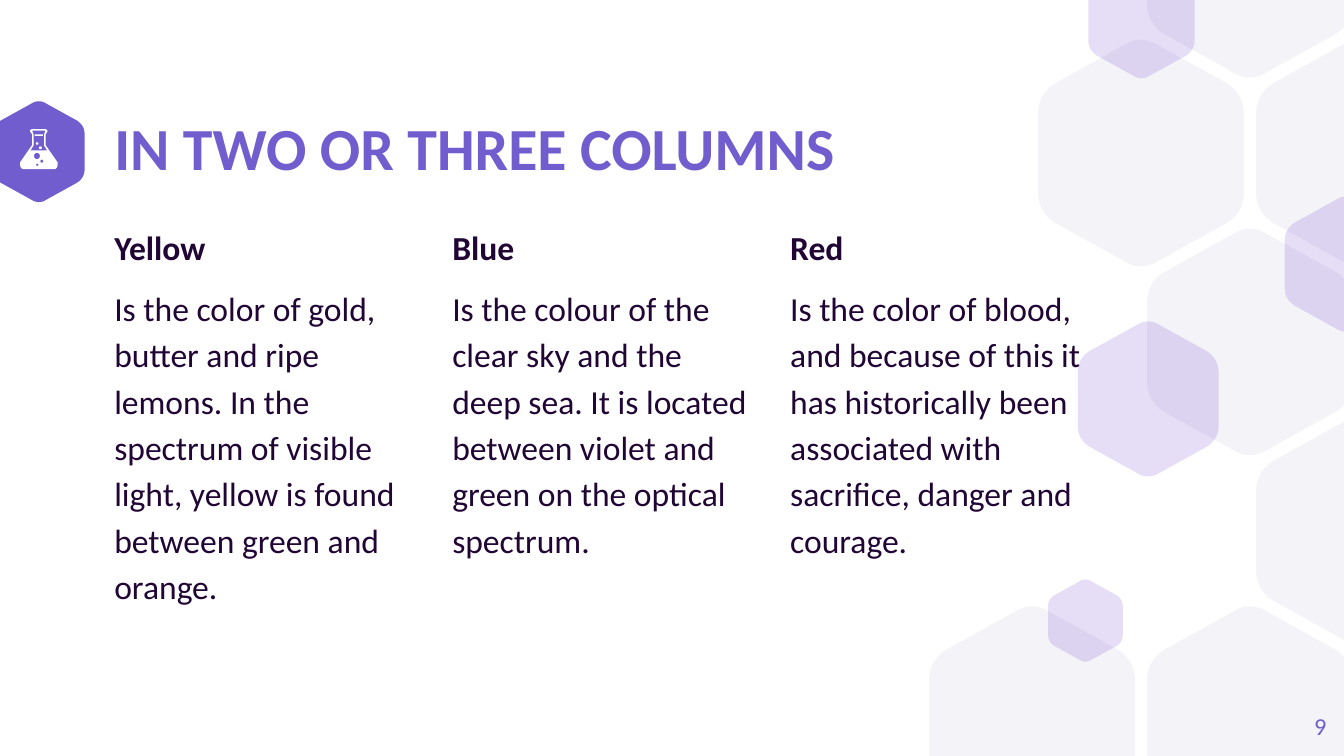
from dataclasses import dataclass
from math import cos, pi, sin
from typing import NamedTuple

from pptx import Presentation
from pptx.dml.color import RGBColor as RGB
from pptx.enum.shapes import MSO_SHAPE as Kind
from pptx.enum.text import MSO_ANCHOR as Anchor, MSO_AUTO_SIZE as Fit, PP_ALIGN as Align
from pptx.oxml.ns import qn
from pptx.oxml.xmlchemy import OxmlElement as Node
from pptx.util import Cm, Pt


@dataclass(frozen=True)
class Theme:
    font: str = "Calibri"
    main: str = "725DCF"
    ink: str = "210635"
    pale: str = "F4F3F8"
    glass: str = "5322C9"
    white: str = "FFFFFF"
    alpha: int = 15
    title: int = 32
    body: int = 18
    small: int = 13


class Box(NamedTuple):
    """Place and size in centimetres."""
    x: float
    y: float
    w: float
    h: float


THEME = Theme()
WIDE, HIGH = 25.4, 14.29
RATIO = 1.107  # hexagon height to width

# (column, row) in half-width steps across and row steps down
CELLS = [(0, 3), (2, 3), (3, 0), (2, -1), (2, 1), (1, 0), (3, 2)]
# left, top, width of the see-through hexagons
GEMS = [(24.28, 3.71, 2.32), (19.81, 10.95, 1.41),
        (20.57, -0.74, 2.01), (20.37, 6.07, 2.66)]

COLUMNS = [
    ("Yellow", "Is the color of gold, butter and ripe lemons. In the spectrum of "
               "visible light, yellow is found between green and orange."),
    ("Blue", "Is the colour of the clear sky and the deep sea. It is located "
             "between violet and green on the optical spectrum."),
    ("Red", "Is the color of blood, and because of this it has historically been "
            "associated with sacrifice, danger and courage."),
]


def paint(shape, color, alpha=None):
    shape.shadow.inherit = False
    shape.line.fill.background()
    shape.fill.solid()
    shape.fill.fore_color.rgb = RGB.from_string(color)
    if alpha is not None:
        node = Node("a:alpha")
        node.set("val", str(alpha * 1000))
        shape.element.spPr.find(qn("a:solidFill"))[0].append(node)


def outline(slide, loops, color, alpha=None):
    """Fill closed loops of points; inner loops become holes."""
    pen = None
    for loop in loops:
        dots = [(Cm(x), Cm(y)) for x, y in loop]
        if pen is None:
            pen = slide.shapes.build_freeform(*dots[0])
        else:
            pen.move_to(*dots[0])
        pen.add_line_segments(dots[1:])
    paint(pen.convert_to_shape(), color, alpha)


def curve(a, b, c, d, steps=8):
    """Points on a cubic curve."""
    for i in range(steps + 1):
        t = i / steps
        u = 1 - t
        yield tuple(u**3 * p + 3 * u * u * t * q + 3 * u * t * t * r + t**3 * s
                    for p, q, r, s in zip(a, b, c, d))


def hexagon(slide, x, y, w, color, alpha=None):
    """Draw a rounded hexagon, cut at the slide's top and bottom edges."""
    side = list(curve((1, -0.35), (1, -0.46), (0.94, -0.55), (0.84, -0.61)))
    peak = list(curve((0.16, -0.95), (0.06, -1.01), (-0.06, -1.01), (-0.16, -0.95)))
    top = side + peak + [(-p, q) for p, q in reversed(side)]
    ring = top + [(-p, -q) for p, q in top]
    rx, ry = w / 2, w * RATIO / 2
    dots = [(x + rx * (1 + p), min(max(y + ry * (1 + q), 0), HIGH)) for p, q in ring]
    outline(slide, [dots], color, alpha)


def backdrop(slide, box):
    """Lay pale hexagons on a honeycomb grid, with see-through ones on top."""
    for col, row in CELLS:
        hexagon(slide, box.x + 2.06 * col, box.y + 3.57 * row, 3.89, THEME.pale)
    for x, y, w in GEMS:
        hexagon(slide, x, y, w, THEME.glass, THEME.alpha)


def flask(slide, box):
    def place(x, y):
        return box.x + x * box.w, box.y + y * box.h

    def mirror(half):
        ring = half + [(-x, y) for x, y in reversed(half)]
        return [place(0.5 + x, y) for x, y in ring]

    def circle(x, y, r):
        turns = [2 * pi * i / 20 for i in range(20)]
        return [place(x + r * cos(t), y + r * sin(t)) for t in turns]

    glass = [(0.18, 0), (0.23, 0.03), (0.23, 0.07), (0.18, 0.13), (0.18, 0.4),
             (0.5, 0.83), (0.5, 0.9), (0.48, 0.96), (0.43, 1)]
    space = [(0.18, 0.04), (0.14, 0.13), (0.14, 0.41), (0.22, 0.53)]
    holes = [(0.45, 0.67, 0.08), (0.58, 0.8, 0.04), (0.46, 0.89, 0.03)]
    outline(slide, [mirror(glass), mirror(space)] + [circle(*h) for h in holes],
            THEME.white)
    marks = [(Kind.OVAL, 0.5, 0.43, 0.08, 0.07), (Kind.OVAL, 0.42, 0.33, 0.07, 0.06),
             (Kind.ROUNDED_RECTANGLE, 0.39, 0.13, 0.22, 0.04)]
    for kind, x, y, w, h in marks:
        left, top = place(x, y)
        mark = slide.shapes.add_shape(kind, Cm(left), Cm(top),
                                      Cm(w * box.w), Cm(h * box.h))
        paint(mark, THEME.white)


def badge(slide, box):
    hexagon(slide, box.x, box.y, box.w, THEME.main)
    flask(slide, Box(box.x + 0.51, box.y + 0.53, 0.71, 0.76))


def frame(shape, anchor):
    text = shape.text_frame
    text.margin_left = text.margin_right = text.margin_top = text.margin_bottom = 0
    text.word_wrap = True
    text.auto_size = Fit.NONE
    text.vertical_anchor = anchor
    return text


def textbox(slide, box, anchor=Anchor.TOP):
    return frame(slide.shapes.add_textbox(*map(Cm, box)), anchor)


def write(para, words, size, color, bold=False, space=1.0, align=Align.LEFT):
    para.alignment = align
    para.line_spacing = space
    run = para.add_run()
    run.text = words
    font = run.font
    font.name, font.size, font.bold = THEME.font, Pt(size), bold
    font.color.rgb = RGB.from_string(color)


def heading(slide, box, words):
    title = slide.shapes.title
    title.left, title.top, title.width, title.height = map(Cm, box)
    text = frame(title, Anchor.MIDDLE)
    write(text.paragraphs[0], words, THEME.title, THEME.main, True, 0.9)


def columns(slide, box, items, gap=0.62):
    wide = (box.w - gap * (len(items) - 1)) / len(items)
    for i, (name, words) in enumerate(items):
        text = textbox(slide, Box(box.x + i * (wide + gap), box.y, wide, box.h))
        write(text.paragraphs[0], name, THEME.body, THEME.ink, True, 1.15)
        para = text.add_paragraph()
        para.space_before = para.space_after = Pt(8)
        write(para, words, THEME.body, THEME.ink, space=1.15)


def number(slide, box, words):
    text = textbox(slide, box, Anchor.MIDDLE)
    write(text.paragraphs[0], words, THEME.small, THEME.main, align=Align.RIGHT)


def main():
    deck = Presentation()
    deck.slide_width, deck.slide_height = Cm(WIDE), Cm(HIGH)
    slide = deck.slides.add_slide(deck.slide_layouts[5])
    backdrop(slide, Box(17.56, 0.74, WIDE - 17.56, HIGH))
    badge(slide, Box(-0.13, 1.91, 1.73, 1.91))
    heading(slide, Box(2.16, 2.31, 18.54, 1.09), "IN TWO OR THREE COLUMNS")
    columns(slide, Box(2.16, 4.17, 18.54, 9.07), COLUMNS)
    number(slide, Box(23.55, 13.18, 1.52, 1.09), "9")
    deck.save("out.pptx")


if __name__ == "__main__":
    main()
